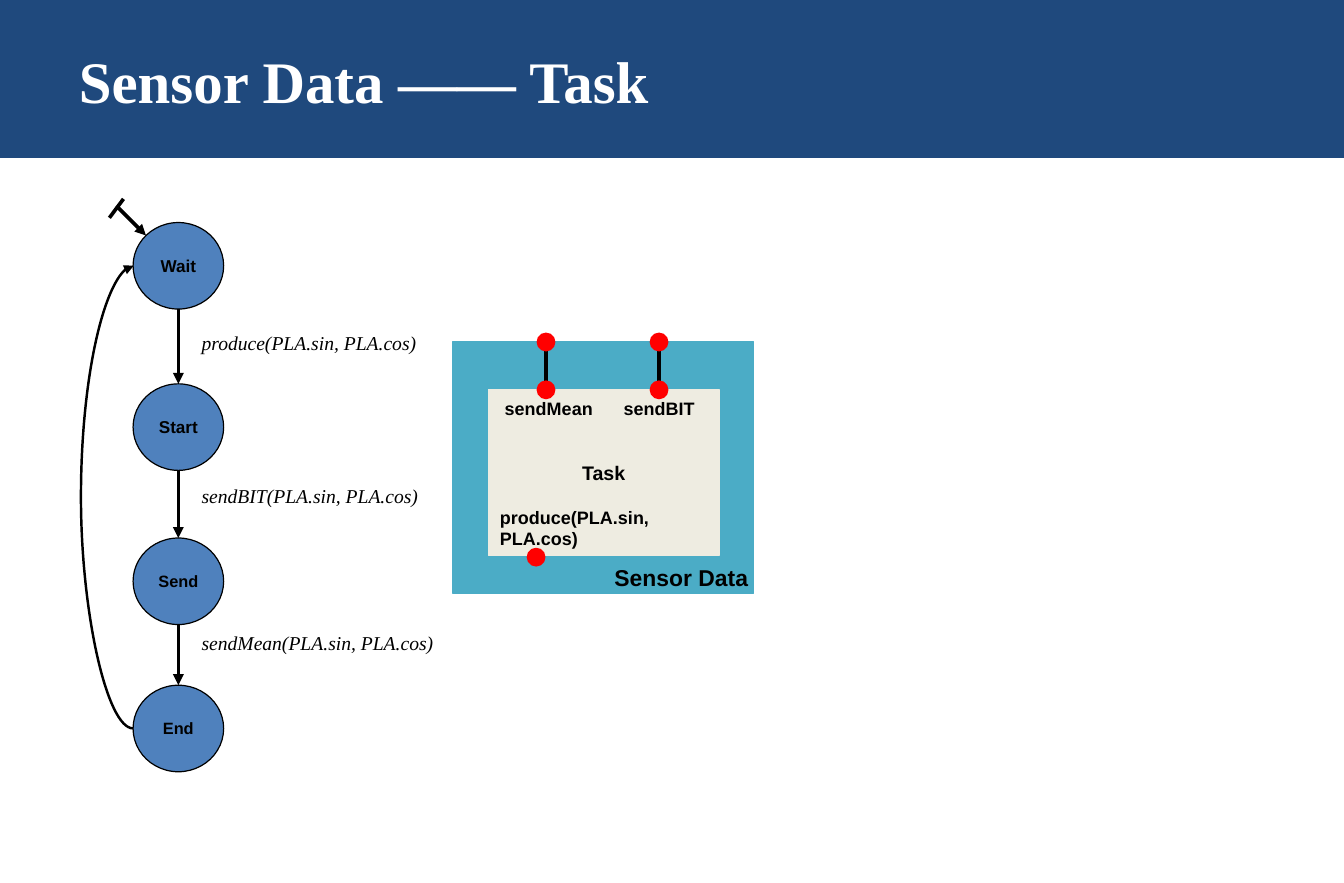
from itertools import pairwise

from lxml.etree import SubElement
from pptx import Presentation
from pptx.dml.color import RGBColor
from pptx.enum.shapes import MSO_CONNECTOR, MSO_SHAPE
from pptx.enum.text import MSO_ANCHOR, PP_ALIGN
from pptx.oxml.ns import qn
from pptx.util import Inches, Pt

WIDTH, HEIGHT = Inches(11.42), Inches(7.5)

# All places are percent of the slide's width and height.
STATE_X, STATE_W, STATE_H = 9.9, 6.74, 9.8
STATES = [("Wait", 25.2, 10.5), ("Start", 43.47, 10.5),
          ("Send", 60.93, 10), ("End", 77.6, 10)]
EVENTS = [("produce(PLA.sin, PLA.cos)", 37.47),
          ("sendBIT(PLA.sin, PLA.cos)", 54.8),
          ("sendMean(PLA.sin, PLA.cos)", 71.47)]
PORTS = [40.63, 49.04]
PORT_TOP, PORT_END = 38.73, 44.15
DOT_W, DOT_H = 1.31, 2


def col(share):
    return round(WIDTH * share / 100)


def row(share):
    return round(HEIGHT * share / 100)


def area(x, y, w, h):
    return col(x), row(y), col(w), row(h)


def color(code):
    return RGBColor.from_string(code)


def write(frame, text, size, font="Arial", ink="000000", bold=True,
          italic=False, align=PP_ALIGN.LEFT, anchor=MSO_ANCHOR.TOP,
          wrap=True, inset=None):
    """Fill a text frame; inset, in inches, replaces all four margins."""
    frame.word_wrap = wrap
    frame.vertical_anchor = anchor
    if inset is not None:
        frame.margin_left = frame.margin_right = Inches(inset)
        frame.margin_top = frame.margin_bottom = Inches(inset)
    para = frame.paragraphs[0]
    para.alignment = align
    run = para.add_run()
    run.text = text
    run.font.name, run.font.size = font, Pt(size)
    run.font.bold, run.font.italic = bold, italic
    run.font.color.rgb = color(ink)


def add_form(slide, kind, place, fill, edge=None):
    form = slide.shapes.add_shape(kind, *area(*place))
    form.shadow.inherit = False
    form.fill.solid()
    form.fill.fore_color.rgb = color(fill)
    form.line.color.rgb = color(edge or fill)
    form.line.width = Pt(0.75)
    return form


def add_note(slide, place, text, size, **style):
    box = slide.shapes.add_textbox(*area(*place))
    write(box.text_frame, text, size, **style)


def add_line(slide, start, end, width=2.25, arrow=False,
             kind=MSO_CONNECTOR.STRAIGHT):
    line = slide.shapes.add_connector(
        kind, col(start[0]), row(start[1]), col(end[0]), row(end[1]))
    line.line.color.rgb = color("000000")
    line.line.width = Pt(width)
    if arrow:
        SubElement(line.line._get_or_add_ln(), qn("a:tailEnd"), type="triangle")
    SubElement(line._element.spPr, qn("a:effectLst"))
    return line


def add_loop(slide, start, end, bulge):
    """Curve from start to end, swinging left by bulge."""
    loop = add_line(slide, start, end, 1.5, True, MSO_CONNECTOR.CURVE)
    span = end[0] - start[0]
    guides = loop._element.spPr.find(qn("a:prstGeom")).get_or_add_avLst()
    SubElement(guides, qn("a:gd"), name="adj1",
               fmla=f"val {round(-bulge / span * 100000)}")


def add_dot(slide, x, y):
    add_form(slide, MSO_SHAPE.FLOWCHART_CONNECTOR,
             (x - DOT_W / 2, y - DOT_H / 2, DOT_W, DOT_H), "FF0000")


def add_head(slide, text):
    band = add_form(slide, MSO_SHAPE.RECTANGLE, (0, 0, 100, 17.87), "1F497D")
    slide.shapes._spTree.insert(2, band._element)
    title = slide.shapes.title
    title.left, title.top, title.width, title.height = area(5, 0.67, 90, 16.67)
    write(title.text_frame, text, 36, font="Times New Roman", ink="FFFFFF",
          anchor=MSO_ANCHOR.MIDDLE)


def add_flow(slide):
    mid = STATE_X + STATE_W / 2
    for name, top, size in STATES:
        state = add_form(slide, MSO_SHAPE.OVAL,
                         (STATE_X, top, STATE_W, STATE_H), "4F81BD", "000000")
        write(state.text_frame, name, size, align=PP_ALIGN.CENTER,
              anchor=MSO_ANCHOR.MIDDLE, inset=0)
    for (_, top, _), (_, below, _) in pairwise(STATES):
        add_line(slide, (mid, top + STATE_H), (mid, below), arrow=True)
    for text, top in EVENTS:
        add_note(slide, (15, top, 20, 2.67), text, 12, font="Times New Roman",
                 bold=False, italic=True, inset=0)
    add_line(slide, (8.67, 23.33), (10.86, 26.67), arrow=True)
    add_line(slide, (9.19, 22.53), (8.14, 24.67))
    first, last = (STATES[i][1] + STATE_H / 2 for i in (0, -1))
    add_loop(slide, (STATE_X, last), (STATE_X + 0.05, first), 3.75)


def add_parts(slide):
    add_form(slide, MSO_SHAPE.RECTANGLE, (33.71, 38.67, 22.33, 28.53), "4BACC6")
    task = add_form(slide, MSO_SHAPE.RECTANGLE,
                    (36.34, 44.13, 17.16, 18.8), "EEECE1")
    write(task.text_frame, "Task", 12, align=PP_ALIGN.CENTER,
          anchor=MSO_ANCHOR.MIDDLE)
    add_note(slide, (44.83, 63.2, 11.73, 4.53), "Sensor Data", 14,
             align=PP_ALIGN.CENTER, wrap=False)
    add_note(slide, (36.69, 44.4, 8.41, 3.87), "sendMean", 11, wrap=False)
    add_note(slide, (45.53, 44.4, 7.09, 3.87), "sendBIT", 11, wrap=False)
    add_note(slide, (36.34, 56.67, 18.21, 6.27),
             "produce(PLA.sin, PLA.cos)", 11)
    for x in PORTS:
        add_line(slide, (x, PORT_END), (x, PORT_TOP))
        add_dot(slide, x, PORT_TOP)
        add_dot(slide, x, PORT_END)
    add_dot(slide, 39.89, 63.1)


def main():
    deck = Presentation()
    deck.slide_width, deck.slide_height = WIDTH, HEIGHT
    slide = deck.slides.add_slide(deck.slide_layouts[5])
    add_head(slide, "Sensor Data —— Task")
    add_flow(slide)
    add_parts(slide)
    deck.save("out.pptx")


if __name__ == "__main__":
    main()
